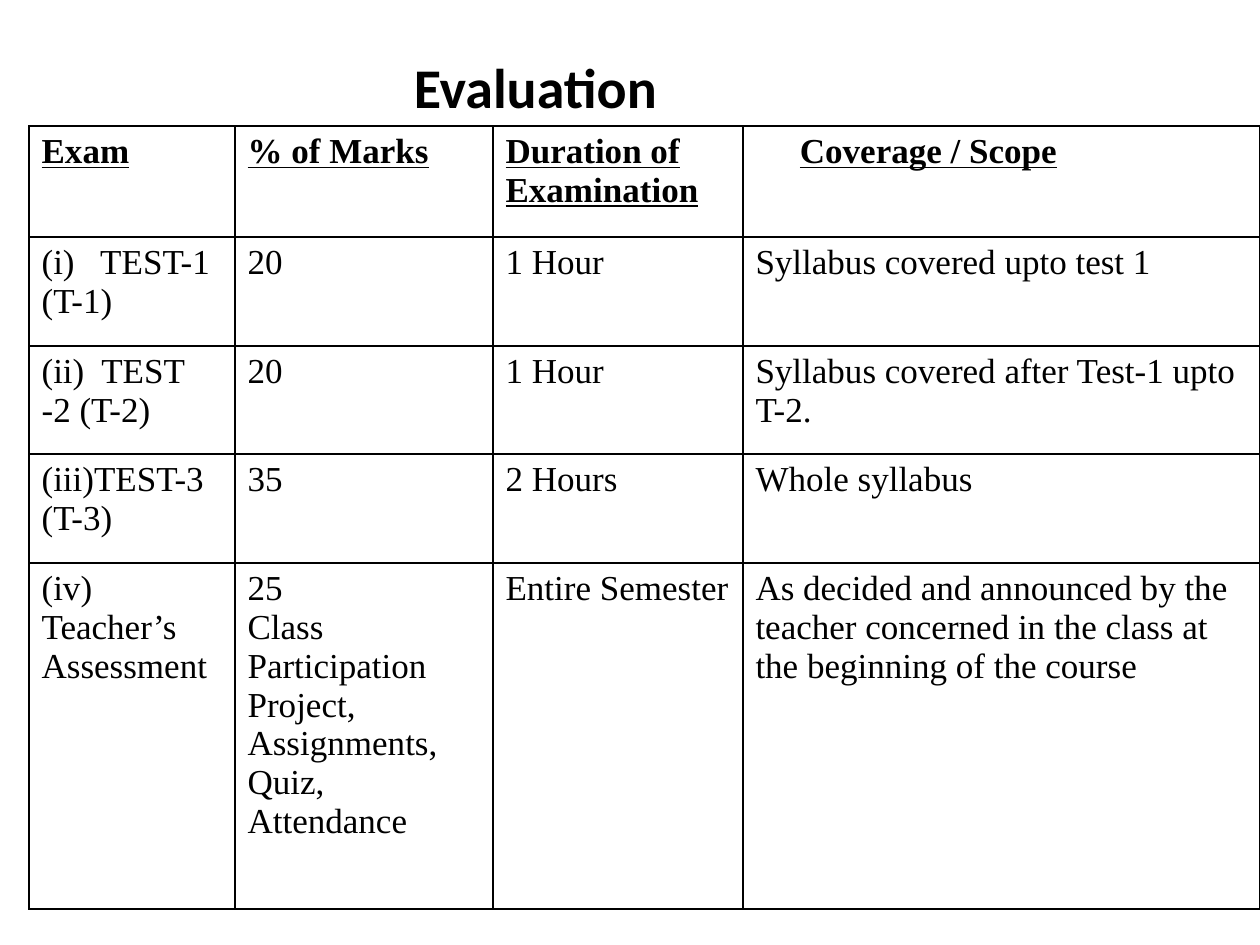
import pptx
import pptx.util
import pptx.dml.color
import pptx.enum.text
import pptx.oxml
import pptx.oxml.ns
from dataclasses import dataclass

PIXEL = 914400 // 126


@dataclass
class Theme:
    ink: str = "000000"
    title_font: str = "Calibri"
    title_size: int = 32
    table_font: str = "Times New Roman"
    table_size: int = 20
    border_points: int = 1


theme = Theme()


def write_text(frame, text, font, size, bold=False, underline=False, align=None):
    """Fill a text frame, one paragraph for each line of text."""
    frame.word_wrap = True
    for index, line in enumerate(text.split("\n")):
        paragraph = frame.paragraphs[0] if index == 0 else frame.add_paragraph()
        paragraph.alignment = align
        run = paragraph.add_run()
        run.text = line
        run.font.name = font
        run.font.size = pptx.util.Pt(size)
        run.font.bold = bold
        run.font.underline = underline
        run.font.color.rgb = pptx.dml.color.RGBColor.from_string(theme.ink)


def add_borders(cell):
    """Draw a solid line on all four sides of a cell."""
    properties = cell._tc.get_or_add_tcPr()
    width = pptx.util.Pt(theme.border_points)
    for side in ("lnL", "lnR", "lnT", "lnB"):
        properties.append(pptx.oxml.parse_xml(
            f'<a:{side} {pptx.oxml.ns.nsdecls("a")} w="{width}"><a:solidFill>'
            f'<a:srgbClr val="{theme.ink}"/></a:solidFill></a:{side}>'))


presentation = pptx.Presentation()
presentation.slide_width = 1260 * PIXEL
presentation.slide_height = 945 * PIXEL
slide = presentation.slides.add_slide(presentation.slide_layouts[5])

# Title
title = slide.shapes.title
title.left, title.top, title.width, title.height = (
    pixels * PIXEL for pixels in (0, 5, 1071, 162))
title.text_frame.vertical_anchor = pptx.enum.text.MSO_ANCHOR.MIDDLE
write_text(title.text_frame, "Evaluation", theme.title_font, theme.title_size,
           bold=True, align=pptx.enum.text.PP_ALIGN.CENTER)

# Evaluation table
column_widths = [206, 258, 250, 517]
row_heights = [111, 109, 108, 109, 346]
exam_rows = [
    ["Exam", "% of Marks", "Duration of Examination", "Coverage / Scope"],
    ["(i)   TEST-1 (T-1)", "20", "1 Hour", "Syllabus covered upto test 1"],
    ["(ii)  TEST -2 (T-2)", "20", "1 Hour",
     "Syllabus covered after Test-1 upto T-2."],
    ["(iii)TEST-3 (T-3)", "35", "2 Hours", "Whole syllabus"],
    ["(iv) Teacher’s Assessment",
     "25\nClass Participation\nProject, Assignments, Quiz, Attendance",
     "Entire Semester",
     "As decided and announced by the teacher concerned in the class "
     "at the beginning of the course"],
]
table = slide.shapes.add_table(
    len(row_heights), len(column_widths), 29 * PIXEL, 126 * PIXEL,
    sum(column_widths) * PIXEL, sum(row_heights) * PIXEL).table
table.first_row = False
table.horz_banding = False
for column, width in zip(table.columns, column_widths):
    column.width = width * PIXEL
for row, height in zip(table.rows, row_heights):
    row.height = height * PIXEL

for row_index, texts in enumerate(exam_rows):
    is_header = row_index == 0
    for column_index, text in enumerate(texts):
        cell = table.cell(row_index, column_index)
        add_borders(cell)
        cell.fill.background()
        write_text(cell.text_frame, text, theme.table_font, theme.table_size,
                   bold=is_header, underline=is_header)

# The last heading is set in from its column
table.cell(0, 3).margin_left = 57 * PIXEL

presentation.save("out.pptx")
